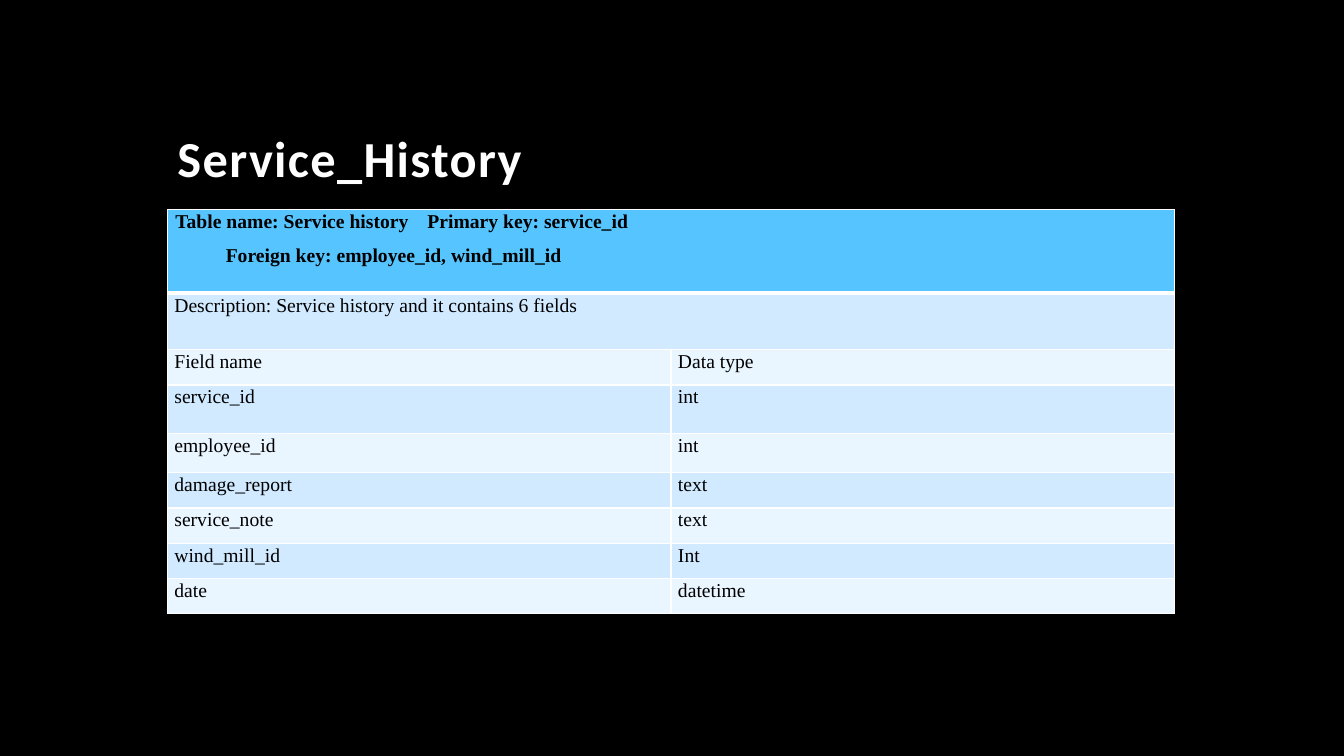
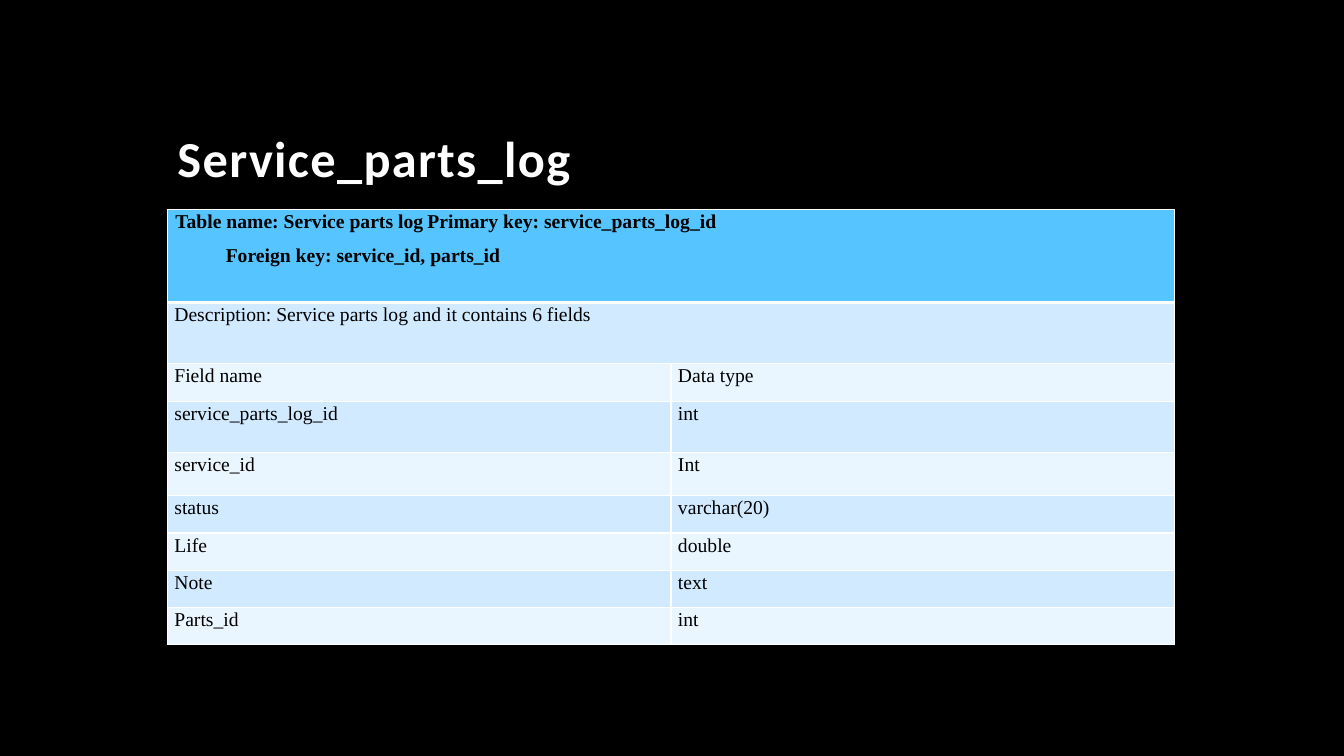
from lxml import etree
from pptx import Presentation
from pptx.dml.color import RGBColor
from pptx.enum import text
from pptx.oxml import ns
from pptx.util import Inches, Pt

COLORS = {"background": "000000", "title": "FFFFFF", "body": "000000",
          "header": "56C5FF", "odd": "D1EAFF", "even": "E9F5FF", "border": "FFFFFF"}
LEFT, WIDTH = Inches(1.66), Inches(9.99)

# Content: tab stops place the two key lines of each table header
TABLES = [
    {"title": "Service_History",
     "name": "Service history",
     "primary": ("service_id", 7.72),
     "foreign": ("employee_id, wind_mill_id", 6.48),
     "fields": [("service_id", "int"), ("employee_id", "int"),
                ("damage_report", "text"), ("service_note", "text"),
                ("wind_mill_id", "Int"), ("date", "datetime")],
     "heights": [0.83, 0.56, 0.35, 0.48, 0.39] + [0.35] * 4},
    {"title": "Service_parts_log",
     "name": "Service parts log",
     "primary": ("service_parts_log_id", 4.37),
     "foreign": ("service_id, parts_id", 4.34),
     "fields": [("service_parts_log_id", "int"), ("service_id", "Int"),
                ("status", "varchar(20)"), ("Life", "double"),
                ("Note", "text"), ("Parts_id", "int")],
     "heights": [0.92, 0.61, 0.37, 0.51, 0.43] + [0.37] * 4},
]


def write(paragraph, words, font="Times New Roman", size=14, color="body", bold=False,
          line=1.07, after=8, spacing=0, indent=0, tab=None):
    properties = paragraph._p.get_or_add_pPr()
    if indent:
        properties.set("marL", str(Inches(indent)))
        properties.set("indent", "0")
    if tab:
        stops = etree.SubElement(properties, ns.qn("a:tabLst"))
        etree.SubElement(stops, ns.qn("a:tab"), pos=str(Inches(tab)), algn="l")
    paragraph.alignment = text.PP_ALIGN.LEFT
    paragraph.line_spacing = line
    paragraph.space_before = Pt(0)
    paragraph.space_after = Pt(after)
    run = paragraph.add_run()
    run.text = words
    run.font.name = font
    run.font.size = Pt(size)
    run.font.bold = bold
    run.font.color.rgb = RGBColor.from_string(COLORS[color])
    if spacing:
        run._r.get_or_add_rPr().set("spc", str(spacing * 100))


def style_cell(cell, fill, top=1, bottom=1):
    cell.margin_left = cell.margin_right = Inches(0.07)
    cell.margin_top = cell.margin_bottom = 0
    properties = cell._tc.get_or_add_tcPr()
    for side, width in (("L", 1), ("R", 1), ("T", top), ("B", bottom)):
        border = etree.SubElement(properties, ns.qn("a:ln" + side), w=str(Pt(width)))
        paint = etree.SubElement(border, ns.qn("a:solidFill"))
        etree.SubElement(paint, ns.qn("a:srgbClr"), val=COLORS["border"])
    cell.fill.solid()
    cell.fill.fore_color.rgb = RGBColor.from_string(COLORS[fill])


# Shared background and title position
deck = Presentation()
deck.slide_width, deck.slide_height = Inches(13.33), Inches(7.5)
backdrop = deck.slide_master.background.fill
backdrop.solid()
backdrop.fore_color.rgb = RGBColor.from_string(COLORS["background"])
layout = deck.slide_layouts.get_by_name("Title Only")
heading = layout.placeholders[0]
heading.left, heading.top = LEFT, Inches(0.42)
heading.width, heading.height = Inches(10), Inches(1.5)

for content in TABLES:
    slide = deck.slides.add_slide(layout)

    # Title
    title = slide.shapes.title.text_frame
    title.vertical_anchor = text.MSO_ANCHOR.BOTTOM
    write(title.paragraphs[0], content["title"], font="Calibri", size=36, color="title",
          bold=True, line=0.9, after=0, spacing=1)

    # Table grid
    heights = content["heights"]
    grid = slide.shapes.add_table(len(heights), 2, LEFT, Inches(2.08), WIDTH,
                                  Inches(sum(heights))).table
    for column in grid.columns:
        column.width = WIDTH // 2
    for index, height in enumerate(heights):
        grid.rows[index].height = Inches(height)
        fill = "header" if index == 0 else "odd" if index % 2 else "even"
        for cell in grid.rows[index].cells:
            style_cell(cell, fill, top=3 if index == 1 else 1, bottom=3 if index == 0 else 1)
    for index in (0, 1):
        grid.cell(index, 0).merge(grid.cell(index, 1))

    # Header with keys, then description
    keys = grid.cell(0, 0).text_frame
    primary, primary_tab = content["primary"]
    foreign, foreign_tab = content["foreign"]
    write(keys.paragraphs[0], f"Table name: {content['name']}\tPrimary key: {primary}",
          bold=True, indent=0.01, tab=primary_tab)
    write(keys.add_paragraph(), f"\tForeign key: {foreign}",
          bold=True, indent=0.01, tab=foreign_tab)
    write(grid.cell(1, 0).text_frame.paragraphs[0],
          f"Description: {content['name']} and it contains {len(content['fields'])} fields")

    # Fields
    for row, pair in enumerate([("Field name", "Data type")] + content["fields"], start=2):
        for column, words in enumerate(pair):
            write(grid.cell(row, column).text_frame.paragraphs[0], words)

deck.save("out.pptx")
